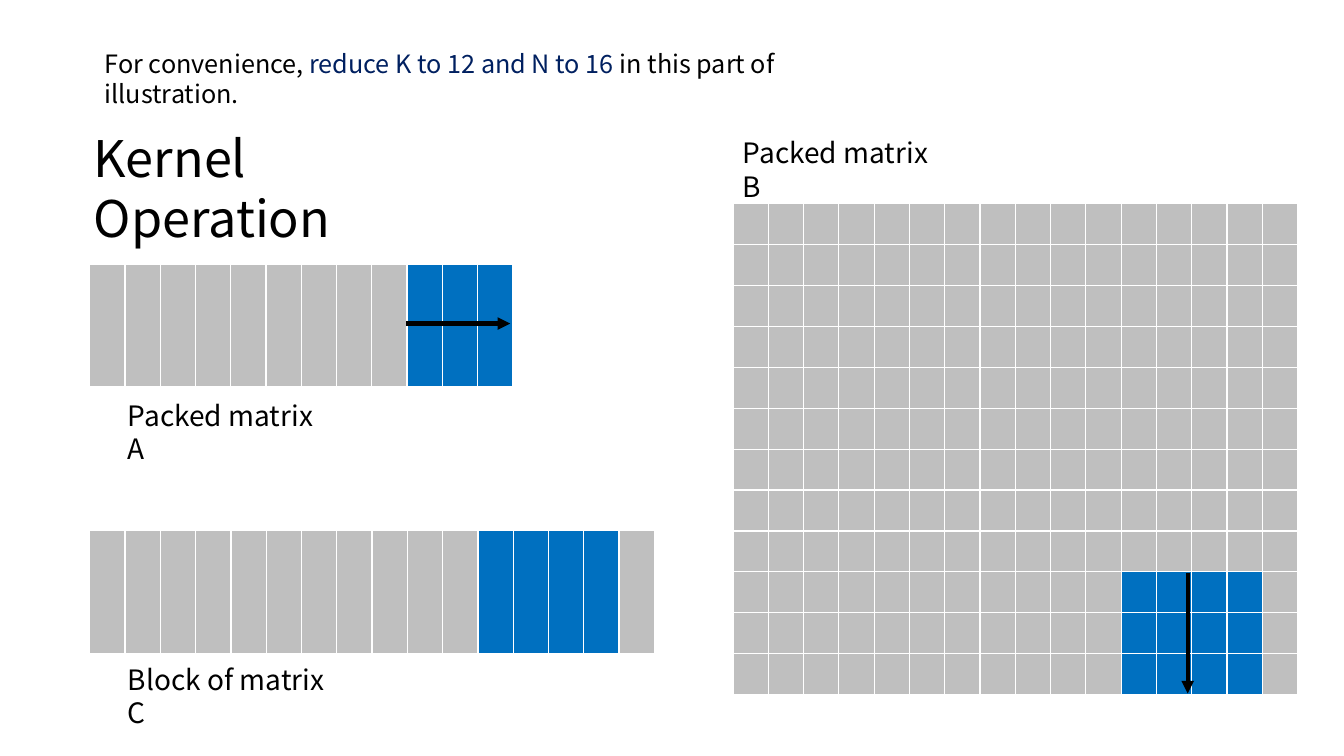
from lxml import etree
from pptx import Presentation
from pptx.dml.color import RGBColor
from pptx.enum.shapes import MSO_CONNECTOR
from pptx.oxml.ns import qn
from pptx.util import Inches, Pt

STRAIGHT = MSO_CONNECTOR.STRAIGHT
FONT = "Noto Sans CJK SC"
BLACK, NAVY, WHITE = "000000", "002060", "FFFFFF"
GREY, BLUE = "BFBFBF", "0070C0"
COL = 0.35  # width of one matrix column

# Texts: left, top, width, height, size, runs
TEXTS = [
    (0.83, 1.21, 3.89, 0.71, 36, [("Kernel Operation", BLACK)]),
    (0.94, 0.43, 7.79, 0.4, 18, [
        ("For convenience, ", BLACK),
        ("reduce K to 12 and N to 16 ", NAVY),
        ("in this part of illustration.", BLACK)]),
    (1.17, 3.9, 2.14, 0.44, 20, [("Packed matrix A", BLACK)]),
    (7.27, 1.3, 2.12, 0.44, 20, [("Packed matrix B", BLACK)]),
    (1.17, 6.52, 2.24, 0.44, 20, [("Block of matrix C", BLACK)]),
]

# Matrices: left, top, rows, columns, row height, bottom border,
# active rows, active columns
MATRICES = [
    (0.89, 2.62, 1, 12, 1.23, 3, range(1), range(9, 12)),
    (0.89, 5.26, 1, 16, 1.24, 3, range(1), range(11, 15)),
    (7.27, 2.02, 12, 16, 0.406, 1, range(9, 12), range(11, 15)),
]

# Arrows along the shared K dimension: start x, y, end x, y
ARROWS = [(4.03, 3.21, 5.06, 3.21), (11.78, 5.68, 11.78, 6.88)]


def color(value):
    return RGBColor.from_string(value)


def add_text(s, x, y, w, h, size, runs):
    tf = s.shapes.add_textbox(Inches(x), Inches(y), Inches(w), Inches(h)).text_frame
    tf.word_wrap = True
    p = tf.paragraphs[0]
    for text, fill in runs:
        r = p.add_run()
        r.text = text
        r.font.size = Pt(size)
        r.font.name = FONT
        r.font.color.rgb = color(fill)


def set_borders(cell, bottom):
    props = cell._tc.get_or_add_tcPr()
    for i, (side, width) in enumerate(zip("LRTB", (1, 1, 1, bottom))):
        ln = etree.Element(qn("a:ln" + side), w=str(Pt(width)))
        fill = etree.SubElement(ln, qn("a:solidFill"))
        etree.SubElement(fill, qn("a:srgbClr"), val=WHITE)
        props.insert(i, ln)


def add_matrix(s, x, y, rows, cols, row_h, bottom, active_rows, active_cols):
    table = s.shapes.add_table(rows, cols, Inches(x), Inches(y),
                               Inches(cols * COL), Inches(rows * row_h)).table
    table.first_row = table.horz_banding = False
    for i in range(rows):
        for j in range(cols):
            cell = table.cell(i, j)
            active = i in active_rows and j in active_cols
            cell.fill.solid()
            cell.fill.fore_color.rgb = color(BLUE if active else GREY)
            set_borders(cell, bottom)


def add_arrow(s, *ends):
    arrow = s.shapes.add_connector(STRAIGHT, *map(Inches, ends))
    arrow.line.color.rgb = color(BLACK)
    arrow.line.width = Pt(3)
    etree.SubElement(arrow.line._get_or_add_ln(), qn("a:tailEnd"), type="triangle")
    etree.SubElement(arrow._element.spPr, qn("a:effectLst"))


prs = Presentation()
prs.slide_width, prs.slide_height = Inches(13.33), Inches(7.5)
s = prs.slides.add_slide(prs.slide_layouts[6])

# Labels, then matrices, then arrows on top
for text in TEXTS:
    add_text(s, *text)
for matrix in MATRICES:
    add_matrix(s, *matrix)
for arrow in ARROWS:
    add_arrow(s, *arrow)

prs.save("out.pptx")
